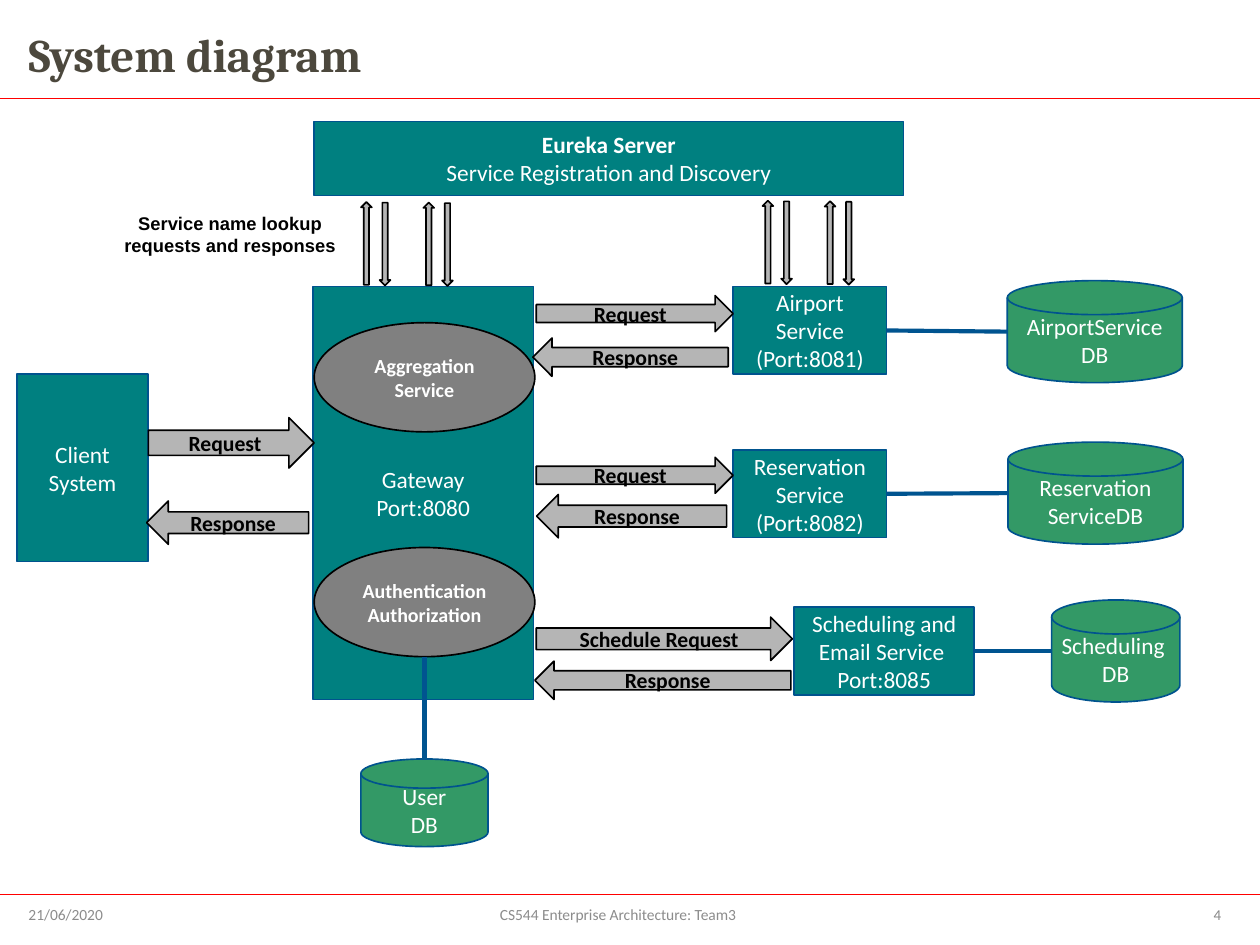
from dataclasses import dataclass

from lxml.etree import SubElement
from pptx import Presentation
from pptx.dml.color import RGBColor
from pptx.enum.shapes import MSO_CONNECTOR, MSO_SHAPE as SHAPE
from pptx.enum.text import MSO_ANCHOR as ANCHOR, MSO_AUTO_SIZE, PP_ALIGN as ALIGN
from pptx.oxml.ns import qn
from pptx.util import Pt


@dataclass(frozen=True)
class Theme:
    """Colours, fonts and type sizes of the slide."""
    title: str = "4C483D"
    rule: str = "FF0000"
    footer: str = "8C8C8C"
    number: str = "898989"
    service: str = "008080"
    database: str = "339966"
    module: str = "808080"
    arrow: str = "B5B5B5"
    edge: str = "00538E"
    link: str = "005490"
    white: str = "FFFFFF"
    black: str = "000000"
    head_font: str = "Cambria"
    body_font: str = "Calibri"
    note_font: str = "Arial"
    title_size: float = 28
    box_size: float = 14
    arrow_size: float = 13
    module_size: float = 12
    note_size: float = 11
    footer_size: float = 9.3
    number_size: float = 9


T = Theme()
WIDTH, HEIGHT = 756, 567


def rgb(code):
    """Turn a hex code into a colour."""
    return RGBColor.from_string(code)


def write(tf, text, size=T.box_size, color=T.white, font=T.body_font, bold=False,
          lead_bold=False, align=ALIGN.CENTER, anchor=ANCHOR.MIDDLE, spacing=None):
    """Write one paragraph per line of text; lead_bold makes only the first bold."""
    tf.word_wrap = True
    tf.auto_size = MSO_AUTO_SIZE.NONE
    tf.vertical_anchor = anchor
    for i, line in enumerate(text.split("\n")):
        p = tf.add_paragraph() if i else tf.paragraphs[0]
        p.alignment = align
        p.line_spacing = spacing
        r = p.add_run()
        r.text = line
        r.font.size, r.font.name = Pt(size), font
        r.font.bold = bold or (lead_bold and i == 0)
        r.font.color.rgb = rgb(color)


def add_label(s, box, text, **fmt):
    """Add a text box."""
    write(s.shapes.add_textbox(*map(Pt, box)).text_frame, text, **fmt)


def add_node(s, kind, box, text="", fill=T.service, edge=T.edge, **fmt):
    """Add a filled, outlined shape with centred text."""
    sp = s.shapes.add_shape(kind, *map(Pt, box))
    sp.shadow.inherit = False
    sp.fill.solid()
    sp.fill.fore_color.rgb = rgb(fill)
    sp.line.color.rgb = rgb(edge)
    sp.line.width = Pt(1)
    if text:
        tf = sp.text_frame
        tf.margin_left = tf.margin_right = Pt(4)
        write(tf, text, **fmt)


def add_database(s, box, text):
    """Add a database cylinder."""
    add_node(s, SHAPE.FLOWCHART_MAGNETIC_DISK, box, text, fill=T.database)


def add_arrow(s, kind, box, text=""):
    """Add a grey block arrow."""
    add_node(s, kind, box, text, fill=T.arrow, edge=T.black,
             size=T.arrow_size, color=T.black, bold=True)


def add_line(s, x1, y1, x2, y2, color=T.link, width=2.5):
    """Add a straight line without a shadow."""
    c = s.shapes.add_connector(MSO_CONNECTOR.STRAIGHT, *map(Pt, (x1, y1, x2, y2)))
    c.line.color.rgb = rgb(color)
    c.line.width = Pt(width)
    SubElement(c._element.spPr, qn("a:effectLst"))


def draw_header(s, box):
    """Format the title and rule off the header along its lower edge."""
    x, y, w, h = box
    title = s.shapes.title
    title.left, title.top, title.width, title.height = map(
        Pt, (x + 10, y + 13, w - 19, 42.5))
    write(title.text_frame, "System diagram", size=T.title_size, color=T.title,
          font=T.head_font, bold=True, align=ALIGN.LEFT, spacing=0.9)
    add_line(s, x, y + h, x + w, y + h, T.rule, 0.5)


def draw_footer(s, box):
    """Draw the footer rule, date, course and slide number."""
    x, y, w, _ = box
    add_line(s, x, y, x + w, y, T.rule, 0.5)
    parts = [(10, 79, "21/06/2020", ALIGN.LEFT, T.footer, T.footer_size),
             (251.3, 239, "CS544 Enterprise Architecture: Team3", ALIGN.CENTER,
              T.footer, T.footer_size),
             (712.8, 35.3, "4", ALIGN.CENTER, T.number, T.number_size)]
    for dx, width, text, align, color, size in parts:
        add_label(s, (x + dx, y + 4.8, width, 14.4), text, align=align,
                  color=color, size=size)


def draw_client(s, box):
    """Draw the client and its exchange with the gateway."""
    x, y, w, h = box
    add_node(s, SHAPE.RECTANGLE, box, "Client System")
    add_arrow(s, SHAPE.RIGHT_ARROW, (x + w, y + 26, 99.4, 30.2), "Request")
    add_arrow(s, SHAPE.LEFT_ARROW, (x + w - 1, y + 76, 97.2, 26), "Response")


def draw_gateway(s, box):
    """Draw the gateway, its two modules and the user database below."""
    x, y, w, h = box
    add_node(s, SHAPE.RECTANGLE, box, "Gateway\nPort:8080")
    oval_h = 65.5
    for dy, text in ((21.6, "Aggregation\nService"),
                     (156.5, "Authentication\nAuthorization")):
        add_node(s, SHAPE.OVAL, (x + 0.8, y + dy, w, oval_h), text, fill=T.module,
                 edge=T.black, size=T.module_size, bold=True)
    mid, db_top, db_w = x + w / 2 + 0.8, y + h + 35.7, 76.3
    add_database(s, (mid - db_w / 2, db_top, db_w, 52.6), "User\nDB")
    add_line(s, mid, y + 156.5 + oval_h, mid, db_top)


def draw_registry(s, box):
    """Draw the registry server and the lookup arrows beneath it."""
    x, y, w, h = box
    add_node(s, SHAPE.RECTANGLE, box,
             "Eureka Server\nService Registration and Discovery", lead_bold=True)
    for dx, dy in ((28, 3.8), (65.4, 4.1), (268.9, 3), (306.2, 3.3)):
        for step, kind in enumerate((SHAPE.UP_ARROW, SHAPE.DOWN_ARROW)):
            add_arrow(s, kind, (x + dx + 11.2 * step, y + h + dy + 0.4 * step,
                                6.5, 49.7))
    add_label(s, (x - 129, y + h + 6.4, 157, 33.8),
              "Service name lookup\nrequests and responses", size=T.note_size,
              color=T.black, font=T.note_font, bold=True, anchor=ANCHOR.TOP)


def draw_service(s, box, text, database, db_box, request, ask, reply):
    """Draw a service with its database and its arrows to the gateway.

    db_box is (left, dy, width); ask is (dy, width, height);
    reply is (left, dy, width, height).
    """
    x, y, w, h = box
    add_node(s, SHAPE.RECTANGLE, box, text)
    db_x, db_dy, db_w = db_box
    db_h, start = 61.2, 321.8
    add_database(s, (db_x, y + db_dy, db_w, db_h), database)
    add_line(s, x + w, y + h / 2, db_x, y + db_dy + db_h / 2)
    ask_dy, ask_w, ask_h = ask
    add_arrow(s, SHAPE.RIGHT_ARROW, (start, y + ask_dy, ask_w, ask_h), request)
    left, reply_dy, reply_w, reply_h = reply
    add_arrow(s, SHAPE.LEFT_ARROW, (left, y + reply_dy, reply_w, reply_h), "Response")


def build():
    """Build the slide and save it."""
    prs = Presentation()
    prs.slide_width, prs.slide_height = Pt(WIDTH), Pt(HEIGHT)
    s = prs.slides.add_slide(prs.slide_layouts[5])
    draw_header(s, (0, 0, WIDTH, 59))
    draw_footer(s, (0, 536.6, WIDTH, 30))
    draw_gateway(s, (187.7, 172, 132.4, 247.7))
    draw_client(s, (10, 224.6, 79, 112.3))
    draw_registry(s, (188.6, 73, 353.5, 44.4))
    services = [
        ((440, 172, 92, 52.6), "Airport\nService\n(Port:8081)", "AirportService\nDB",
         (604.4, -3.6, 105), "Request", (5.4, 118.1, 21.6), (319.7, 30.8, 117.2, 23)),
        ((440, 270, 92, 52.6), "Reservation\nService\n(Port:8082)",
         "Reservation\nServiceDB", (604.8, -4.7, 105), "Request",
         (4.4, 118.1, 21.6), (322, 26.7, 114, 26)),
        ((476.6, 364.3, 108, 52.6), "Scheduling and Email Service \nPort:8085",
         "Scheduling \nDB", (631, -4.3, 77), "Schedule Request",
         (6, 153.6, 26), (320.9, 32.4, 153.6, 23)),
    ]
    for service in services:
        draw_service(s, *service)
    prs.save("out.pptx")


build()
